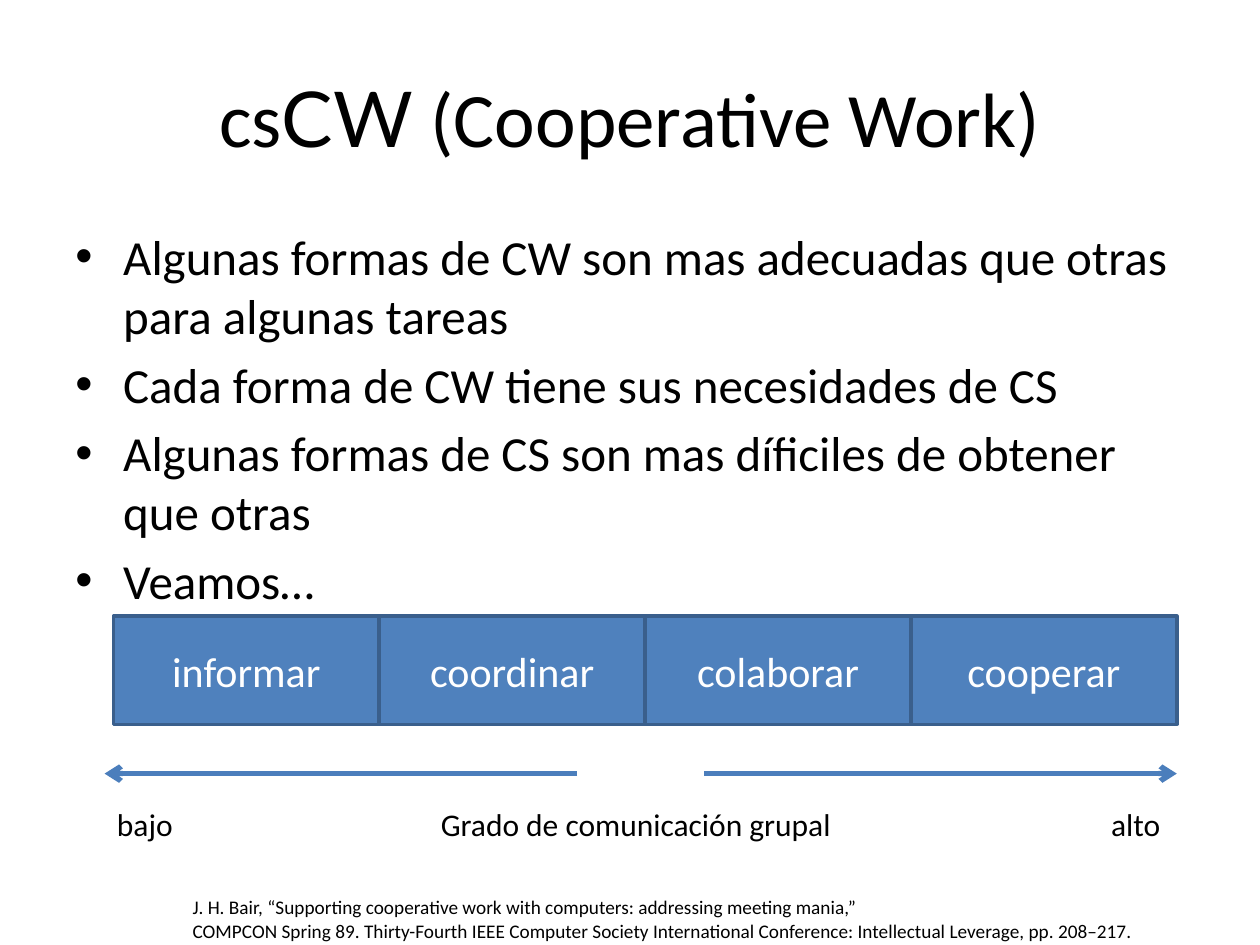
from lxml import etree
from pptx import Presentation
from pptx.dml.color import RGBColor
from pptx.enum.shapes import MSO_CONNECTOR, MSO_SHAPE
from pptx.enum.text import MSO_ANCHOR, PP_ALIGN
from pptx.oxml.ns import qn
from pptx.util import Inches, Pt

RECT = MSO_SHAPE.RECTANGLE
STRAIGHT = MSO_CONNECTOR.STRAIGHT
TOP, MIDDLE = MSO_ANCHOR.TOP, MSO_ANCHOR.MIDDLE
LEFT, CENTER = PP_ALIGN.LEFT, PP_ALIGN.CENTER


def rgb(value):
    return RGBColor.from_string(value)


def write(sp, paragraphs, size=18, color="000000", align=LEFT, anchor=TOP,
          wrap=True, bullet=False):
    tf = sp.text_frame
    tf.word_wrap = wrap
    tf.vertical_anchor = anchor
    for i, runs in enumerate(paragraphs):
        p = tf.add_paragraph() if i else tf.paragraphs[0]
        p.alignment = align
        if bullet:
            p.space_before = Pt(size * 0.2)
            pPr = p._p.get_or_add_pPr()
            pPr.set("marL", str(Inches(0.38)))
            pPr.set("indent", str(-Inches(0.38)))
            etree.SubElement(pPr, qn("a:buFont")).set("typeface", "Arial")
            etree.SubElement(pPr, qn("a:buChar")).set("char", "•")
        for text, font in runs:
            r = p.add_run()
            r.text = text
            r.font.name = font
            r.font.size = Pt(size)
            r.font.color.rgb = rgb(color)


prs = Presentation()
prs.slide_width, prs.slide_height = Inches(10), Inches(7.5)
col, row = prs.slide_width / 100, prs.slide_height / 75
slide = prs.slides.add_slide(prs.slide_layouts[6])
shapes = slide.shapes

title = [("cs", "Calibri"), ("CW", "Lato"), (" (Cooperative Work)", "Calibri")]
sp = shapes.add_textbox(int(5 * col), int(3 * row), int(90 * col), int(12.5 * row))
write(sp, [title], size=44, align=CENTER, anchor=MIDDLE)

points = [
    "Algunas formas de CW son mas adecuadas que otras para algunas tareas",
    "Cada forma de CW tiene sus necesidades de CS",
    "Algunas formas de CS son mas díficiles de obtener que otras",
    "Veamos…",
]
sp = shapes.add_textbox(int(5 * col), int(17.5 * row), int(90 * col), int(31.7 * row))
write(sp, [[(text, "Calibri")] for text in points], size=28, bullet=True)

box_left, box_width = 9, 21.1
for i, name in enumerate(["informar", "coordinar", "colaborar", "cooperar"]):
    sp = shapes.add_shape(RECT, int((box_left + i * box_width) * col), int(48.9 * row),
                          int(box_width * col), int(8.6 * row))
    sp.shadow.inherit = False
    sp.fill.solid()
    sp.fill.fore_color.rgb = rgb("4F81BD")
    sp.line.color.rgb = rgb("3A5F8C")
    sp.line.width = Pt(2)
    write(sp, [[(name, "Calibri")]], size=24, color="FFFFFF", align=CENTER, anchor=MIDDLE)

for start, end in [(55.9, 93.4), (45.8, 8.3)]:
    sp = shapes.add_connector(STRAIGHT, int(start * col), int(61.4 * row),
                              int(end * col), int(61.4 * row))
    sp.line.color.rgb = rgb("4B7EBC")
    sp.line.width = Pt(3)
    etree.SubElement(sp.line._get_or_add_ln(), qn("a:tailEnd")).set("type", "arrow")
    etree.SubElement(sp._element.spPr, qn("a:effectLst"))

labels = [("bajo", 8.3, 6.5), ("Grado de comunicación grupal", 34, 33.7), ("alto", 87.2, 6)]
for text, left, width in labels:
    sp = shapes.add_textbox(int(left * col), int(63.4 * row), int(width * col), int(4 * row))
    write(sp, [[(text, "Calibri")]], wrap=False)

source = [
    "J. H. Bair, “Supporting cooperative work with computers: addressing meeting mania,”",
    "COMPCON Spring 89. Thirty-Fourth IEEE Computer Society International Conference: "
    "Intellectual Leverage, pp. 208–217.",
]
sp = shapes.add_textbox(int(14.3 * col), int(70.6 * row), int(77.5 * col), int(4.7 * row))
write(sp, [[(text, "Calibri")] for text in source], size=11, wrap=False)

prs.save("out.pptx")
